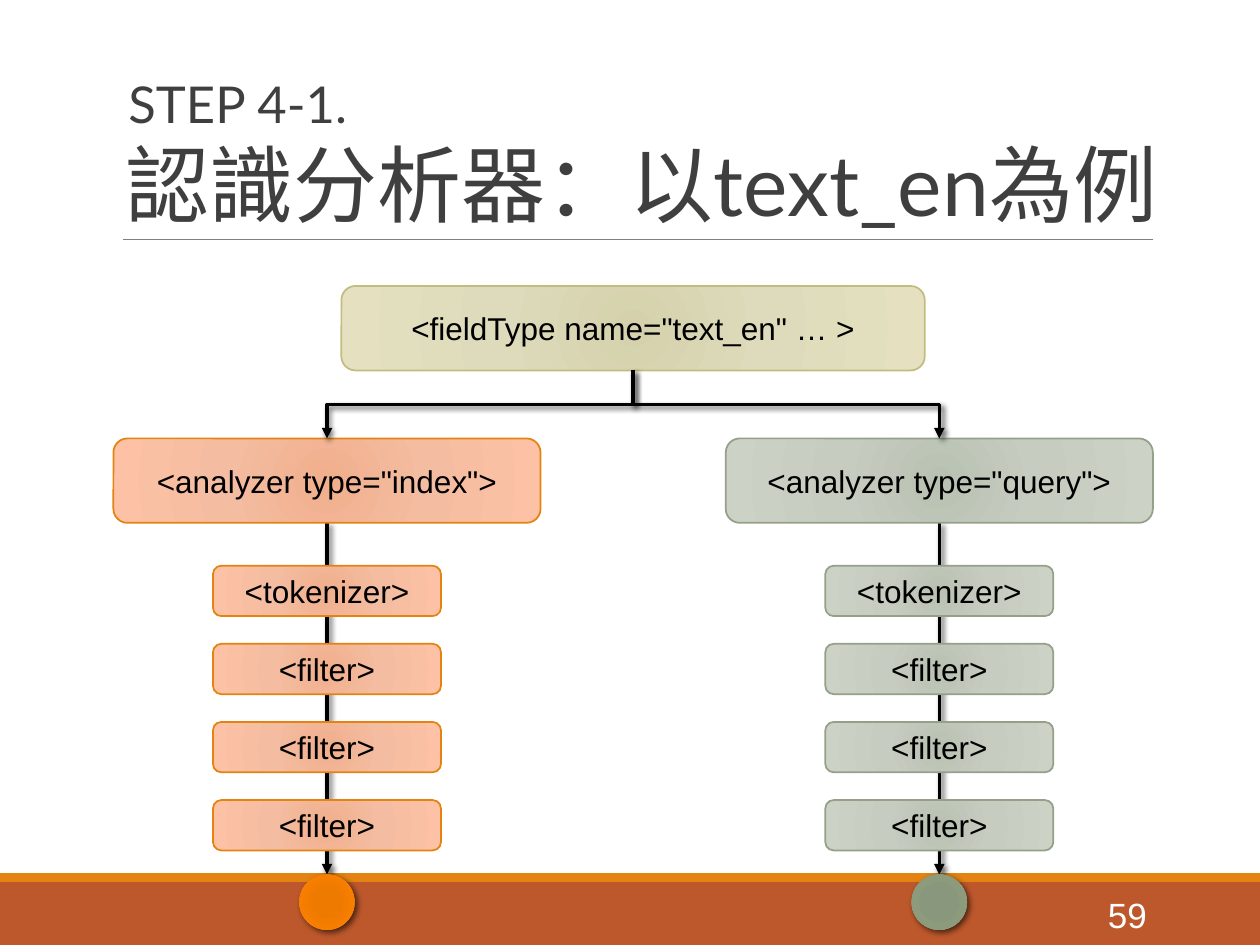
from collections import namedtuple
from dataclasses import dataclass

from pptx import Presentation
from pptx import oxml
from pptx.dml.color import RGBColor
from pptx.enum import shapes, text
from pptx.oxml import ns
from pptx.util import Inches, Pt

Box = namedtuple("Box", "left top width height")
Palette = namedtuple("Palette", "stops line dot")


@dataclass(frozen=True)
class Theme:
    """Colours, fonts and type sizes of the slide."""
    heading_font: str = "Lato"
    body_font: str = "Arial"
    heading: str = "3F3F3F"
    black: str = "000000"
    white: str = "FFFFFF"
    band: str = "BD582C"
    accent: str = "E48312"
    rule: str = "7F7F7F"
    title_size: int = 48
    step_size: int = 29
    number_size: int = 20
    node_size: int = 18
    sand: Palette = Palette(((0, "D5D1AD"), (45, "DDDBBB"), (100, "E5E1C0")), "C2BC80", ())
    orange: Palette = Palette(((0, "F0AF8D"), (45, "F4BCA0"), (100, "FDC2A5")), "E48312",
                              ((0, "F07B00"), (34, "EE7B00"), (70, "F77E00"), (100, "EE8307")))
    sage: Palette = Palette(((0, "B9C1B3"), (45, "C6CCC0"), (100, "CDD2C6")), "94A088",
                            ((0, "89977A"), (34, "89987C"), (70, "8D9B7D"), (100, "94A186")))


THEME = Theme()
ALIGN = text.PP_ALIGN
ANCHOR = text.MSO_ANCHOR


def inches(values):
    """Turn plain numbers into lengths."""
    return [Inches(value) for value in values]


def drawing(tag, content="", attributes=""):
    """Make one DrawingML element."""
    return oxml.parse_xml(f"<a:{tag} {ns.nsdecls('a')} {attributes}>{content}</a:{tag}>")


def add_effects(shape, blur=None):
    """Give a shape a soft diagonal shadow, or none without a blur."""
    content = ""
    if blur:
        content = (f'<a:outerShdw blurRad="{Pt(blur)}" dist="{Pt(2)}" dir="2700000" algn="tl" '
                   f'rotWithShape="0"><a:srgbClr val="{THEME.black}"><a:alpha val="60000"/>'
                   '</a:srgbClr></a:outerShdw>')
    shape._element.spPr.append(drawing("effectLst", content))


def fill_radial(shape, stops):
    """Fill a shape with a gradient that spreads from its centre."""
    shape.fill.gradient()
    properties = shape._element.spPr
    colours = "".join(f'<a:gs pos="{place * 1000}"><a:srgbClr val="{colour}"/></a:gs>'
                      for place, colour in stops)
    content = (f'<a:gsLst>{colours}</a:gsLst><a:path path="circle">'
               '<a:fillToRect l="50000" t="50000" r="50000" b="50000"/></a:path>')
    old = properties.find(ns.qn("a:gradFill"))
    properties.replace(old, drawing("gradFill", content, 'rotWithShape="1"'))


def write(shape, words, size, colour=THEME.black, font=THEME.body_font, align=ALIGN.CENTER,
          anchor=ANCHOR.MIDDLE, spacing=1.0, margins=(0.1, 0.1)):
    """Write one formatted paragraph into a shape."""
    frame = shape.text_frame
    frame.word_wrap = True
    frame.vertical_anchor = anchor
    frame.margin_left, frame.margin_right = inches(margins)
    frame.margin_top = frame.margin_bottom = Inches(0.05)
    para = frame.paragraphs[0]
    para.alignment = align
    para.line_spacing = spacing
    span = para.add_run()
    span.text = words
    span.font.name = font
    span.font.size = Pt(size)
    span.font.color.rgb = RGBColor.from_string(colour)


def add_line(page, start, end, colour=THEME.black, width=2, kind=shapes.MSO_CONNECTOR.STRAIGHT):
    """Draw a plain connector between two points."""
    line = page.shapes.add_connector(kind, *inches((*start, *end)))
    line.line.color.rgb = RGBColor.from_string(colour)
    line.line.width = Pt(width)
    return line


def add_arrow(page, start, end, **options):
    """Draw a shadowed connector with an arrowhead at its end."""
    arrow = add_line(page, start, end, **options)
    arrow.line._get_or_add_ln().append(drawing("tailEnd", attributes='type="triangle"'))
    add_effects(arrow, 3)
    return arrow


def add_branch(page, start, end):
    """Draw an elbow arrow that goes down, across and down again."""
    across, down = abs(end[0] - start[0]), end[1] - start[1]
    middle_x, middle_y = (start[0] + end[0]) / 2, (start[1] + end[1]) / 2
    to_right = end[0] > start[0]
    near, far = middle_x - down / 2, middle_x + down / 2
    if to_right:
        near, far = far, near
    arrow = add_arrow(page, (near, middle_y - across / 2), (far, middle_y + across / 2),
                      kind=shapes.MSO_CONNECTOR.ELBOW)
    turn = 270 if to_right else 90
    arrow._element.spPr.find(ns.qn("a:xfrm")).set("rot", str(turn * 60000))


def add_node(page, box, words, palette):
    """Draw a rounded box with its label."""
    node = page.shapes.add_shape(shapes.MSO_SHAPE.ROUNDED_RECTANGLE, *inches(box))
    fill_radial(node, palette.stops)
    node.line.color.rgb = RGBColor.from_string(palette.line)
    node.line.width = Pt(1)
    node.shadow.inherit = False
    write(node, words, THEME.node_size)


def add_footer(page, box, number):
    """Draw the two bands at the bottom and the page number."""
    stripe = 0.07
    bands = ((Box(box.left, box.top + stripe, box.width, box.height - stripe), THEME.band),
             (Box(box.left, box.top, box.width, stripe), THEME.accent))
    for place, colour in bands:
        band = page.shapes.add_shape(shapes.MSO_SHAPE.RECTANGLE, *inches(place))
        band.fill.solid()
        band.fill.fore_color.rgb = RGBColor.from_string(colour)
        band.line.fill.background()
        band.shadow.inherit = False
    label = page.shapes.add_textbox(*inches((box.left + 8.12, box.top + 0.13, 1.08, 0.4)))
    write(label, number, THEME.number_size, THEME.white, align=ALIGN.RIGHT)


def add_heading(page, box, step, title):
    """Write the step label and the title above a thin rule."""
    bottom = box.top + box.height
    rule = add_line(page, (box.left + 0.08, bottom), (box.left + 8.25, bottom), THEME.rule, 0.75)
    add_effects(rule)
    style = dict(colour=THEME.heading, font=THEME.heading_font, align=ALIGN.LEFT,
                 anchor=ANCHOR.BOTTOM)
    title_box = page.shapes.add_textbox(*inches((box.left, bottom - 0.88, box.width, 0.88)))
    write(title_box, title, THEME.title_size, spacing=0.85, **style)
    step_box = page.shapes.add_textbox(*inches((box.left, box.top, 8.53, 0.81)))
    write(step_box, step, THEME.step_size, spacing=0.9, margins=(0.12, 0), **style)


def add_chain(page, box, head, steps, palette):
    """Draw an analyzer, the steps below it and the dot where they end."""
    centre = box.left + box.width / 2
    head_height, step_width, dot = 0.67, 1.81, 0.44
    dot_top = box.top + box.height - dot
    add_arrow(page, (centre, box.top + head_height), (centre, dot_top))
    add_node(page, Box(box.left, box.top, box.width, head_height), head, palette)
    for index, words in enumerate(steps):
        top = box.top + 1.01 + index * 0.62
        add_node(page, Box(centre - step_width / 2, top, step_width, 0.4), words, palette)
    end = page.shapes.add_shape(shapes.MSO_SHAPE.OVAL,
                                *inches((centre - dot / 2, dot_top, dot, dot)))
    fill_radial(end, palette.dot)
    end.line.fill.background()
    add_effects(end, 3.5)


def add_tree(page, box):
    """Draw the field type with its two analyzer chains."""
    root = Box(box.left + 1.81, box.top, 4.63, 0.67)
    add_node(page, root, '<fieldType name="text_en" … >', THEME.sand)
    steps = ["<tokenizer>"] + ["<filter>"] * 3
    width, top = 3.39, box.top + 1.21
    fork = (root.left + root.width / 2, root.top + root.height)
    chains = ((box.left, "index", THEME.orange),
              (box.left + box.width - width, "query", THEME.sage))
    for left, kind, palette in chains:
        place = Box(left, top, width, box.top + box.height - top)
        add_chain(page, place, f'<analyzer type="{kind}">', steps, palette)
        add_branch(page, fork, (left + width / 2, top))


def main():
    """Build and save the deck."""
    deck = Presentation()
    deck.slide_width, deck.slide_height = inches((10, 7.5))
    page = deck.slides.add_slide(deck.slide_layouts[6])
    add_footer(page, Box(0, 6.93, 10, 0.57), "59")
    add_heading(page, Box(0.9, 0.31, 8.77, 1.59), "STEP 4-1.", "認識分析器：以text_en為例")
    add_tree(page, Box(0.9, 2.27, 8.25, 5.11))
    deck.save("out.pptx")


if __name__ == "__main__":
    main()
